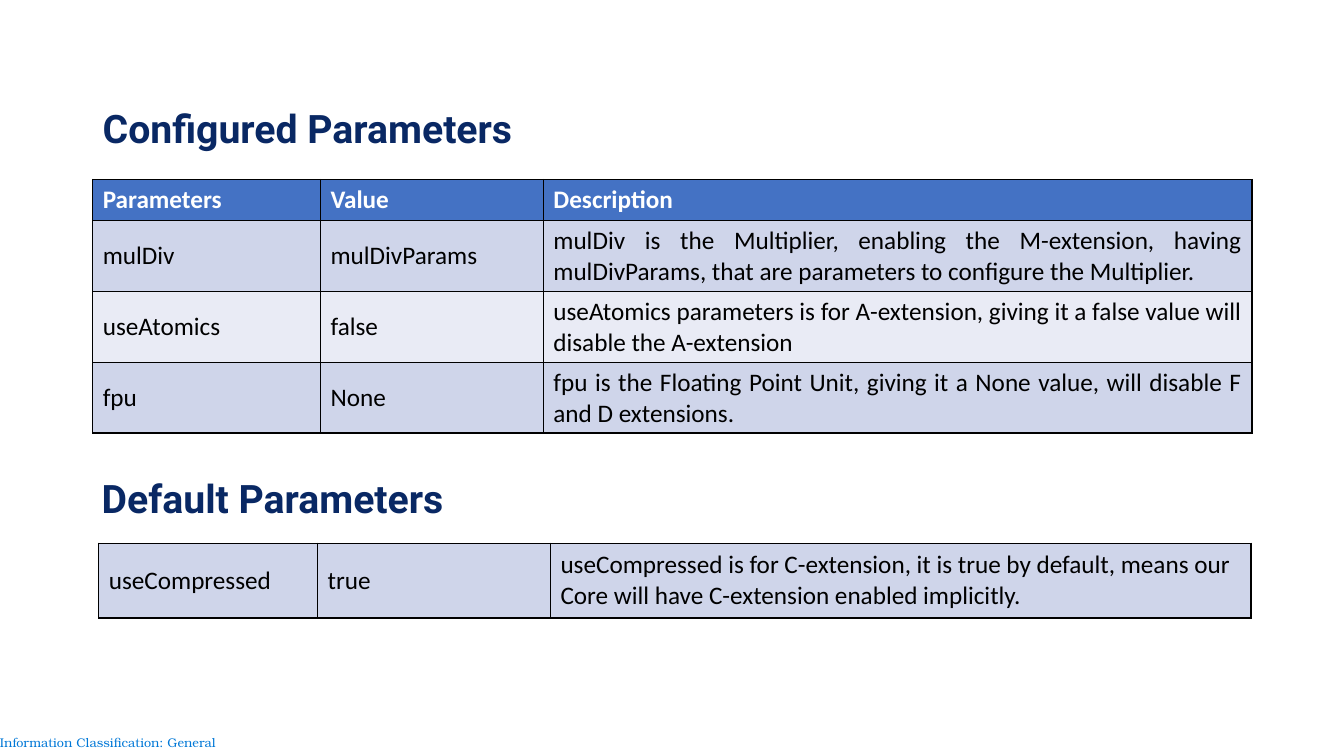
from dataclasses import dataclass

from lxml import etree
from pptx import Presentation
from pptx.dml.color import RGBColor
from pptx.enum.text import MSO_ANCHOR, MSO_AUTO_SIZE, PP_ALIGN
from pptx.oxml.ns import qn
from pptx.slide import Slide
from pptx.table import _Cell
from pptx.text.text import TextFrame
from pptx.util import Emu, Inches, Pt

MIDDLE = MSO_ANCHOR.MIDDLE
LEFT = PP_ALIGN.LEFT
JUSTIFY = PP_ALIGN.JUSTIFY
GROW = MSO_AUTO_SIZE.SHAPE_TO_FIT_TEXT
SLIDE_WIDTH = Inches(13.333)
SLIDE_HEIGHT = Inches(7.5)


@dataclass(frozen=True)
class TextStyle:
    font: str
    size: float
    color: str
    bold: bool = False


@dataclass(frozen=True)
class Theme:
    title: TextStyle = TextStyle("Roboto", 28, "092864", True)
    header: TextStyle = TextStyle("Calibri", 18, "FFFFFF", True)
    body: TextStyle = TextStyle("Calibri", 18, "000000")
    label: TextStyle = TextStyle("TeX Gyre Bonum", 9, "0078D7")
    header_fill: str = "4472C4"
    band_fills: tuple[str, str] = ("CFD5EA", "E9EBF5")
    border: str = "000000"
    border_width: float = 1


THEME = Theme()


@dataclass(frozen=True)
class Heading:
    """Position in percent of the slide's width and height."""
    text: str
    left: float
    top: float
    width: float = 86.25
    height: float = 9.87


@dataclass(frozen=True)
class ParameterTable:
    """Columns in percent of the slide's width, rows of its height."""
    left: float
    top: float
    columns: tuple[float, ...]
    row_height: float
    rows: tuple[tuple[str, ...], ...]
    header: tuple[str, ...] = ()
    header_height: float = 5.47
    alignment: PP_ALIGN = LEFT
    left_aligned: tuple[str, ...] = ()


HEADINGS = (
    Heading("Configured Parameters", 6.9, 12.4),
    Heading("Default Parameters", 6.83, 61.33),
)

TABLES = (
    ParameterTable(
        left=6.9, top=23.73, columns=(16.95, 16.58, 52.73), row_height=9.36,
        header=("Parameters", "Value", "Description"),
        rows=(
            ("mulDiv", "mulDivParams",
             "mulDiv is the Multiplier, enabling the M-extension, having "
             "mulDivParams, that are parameters to configure the Multiplier."),
            ("useAtomics", "false",
             "useAtomics parameters is for A-extension, giving it a false "
             "value will disable the A-extension"),
            ("fpu", "None",
             "fpu is the Floating Point Unit, giving it a None value, will "
             "disable F and D extensions."),
        ),
        alignment=JUSTIFY, left_aligned=("mulDivParams",),
    ),
    ParameterTable(
        left=7.35, top=71.87, columns=(16.28, 17.33, 52.13), row_height=9.87,
        rows=(
            ("useCompressed", "true",
             "useCompressed is for C-extension, it is true by default, means "
             "our Core will have C-extension enabled implicitly."),
        ),
    ),
)


def across(percent: float) -> Emu:
    return Emu(round(SLIDE_WIDTH * percent / 100))


def down(percent: float) -> Emu:
    return Emu(round(SLIDE_HEIGHT * percent / 100))


def write(frame: TextFrame, text: str, style: TextStyle,
          alignment: PP_ALIGN = LEFT) -> None:
    paragraph = frame.paragraphs[0]
    paragraph.alignment = alignment
    run = paragraph.add_run()
    run.text = text
    run.font.name = style.font
    run.font.size = Pt(style.size)
    run.font.bold = style.bold
    run.font.color.rgb = RGBColor.from_string(style.color)


def draw_heading(slide: Slide, heading: Heading) -> None:
    shape = slide.shapes.add_textbox(across(heading.left), down(heading.top),
                                     across(heading.width), down(heading.height))
    frame = shape.text_frame
    frame.word_wrap = True
    frame.vertical_anchor = MIDDLE
    write(frame, heading.text, THEME.title)
    frame.paragraphs[0].line_spacing = 0.9


def draw_classification(slide: Slide) -> None:
    shape = slide.shapes.add_textbox(0, down(96.53), across(17.47), down(3.47))
    frame = shape.text_frame
    frame.margin_left = frame.margin_right = 0
    frame.margin_top = frame.margin_bottom = 0
    frame.word_wrap = False
    frame.auto_size = GROW
    frame.vertical_anchor = MIDDLE
    write(frame, "Information Classification: General", THEME.label)


def style_cell(cell: _Cell, fill: str) -> None:
    """Draws the borders before the fill, the order the file format asks for."""
    properties = cell._tc.get_or_add_tcPr()
    for side in ("lnL", "lnR", "lnT", "lnB"):
        line = etree.SubElement(properties, qn(f"a:{side}"),
                                w=str(Pt(THEME.border_width)))
        solid = etree.SubElement(line, qn("a:solidFill"))
        etree.SubElement(solid, qn("a:srgbClr"), val=THEME.border)
    cell.fill.solid()
    cell.fill.fore_color.rgb = RGBColor.from_string(fill)
    cell.vertical_anchor = MIDDLE


def draw_table(slide: Slide, content: ParameterTable) -> None:
    lines = [(content.header, content.header_height, THEME.header,
              THEME.header_fill)] if content.header else []
    for index, texts in enumerate(content.rows):
        fill = THEME.band_fills[index % len(THEME.band_fills)]
        lines.append((texts, content.row_height, THEME.body, fill))

    table = slide.shapes.add_table(
        len(lines), len(content.columns), across(content.left), down(content.top),
        across(sum(content.columns)), down(sum(line[1] for line in lines))).table
    table.first_row = bool(content.header)
    for column, width in zip(table.columns, content.columns):
        column.width = across(width)
    for row, (texts, height, style, fill) in zip(table.rows, lines):
        row.height = down(height)
        for cell, text in zip(row.cells, texts):
            alignment = LEFT if text in content.left_aligned else content.alignment
            style_cell(cell, fill)
            write(cell.text_frame, text, style, alignment)


def main() -> None:
    presentation = Presentation()
    presentation.slide_width = SLIDE_WIDTH
    presentation.slide_height = SLIDE_HEIGHT
    slide = presentation.slides.add_slide(presentation.slide_layouts[6])
    draw_classification(slide)
    for heading, content in zip(HEADINGS, TABLES):
        draw_heading(slide, heading)
        draw_table(slide, content)
    presentation.save("out.pptx")


if __name__ == "__main__":
    main()
